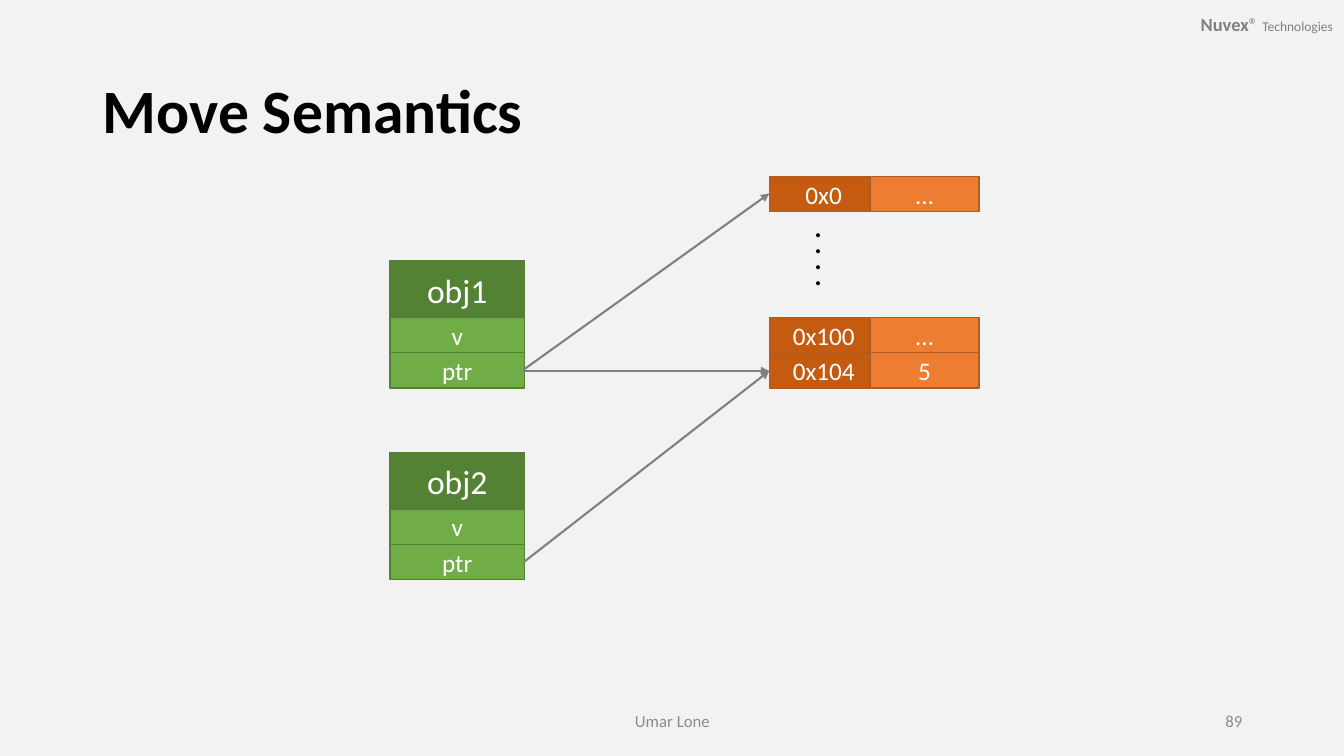
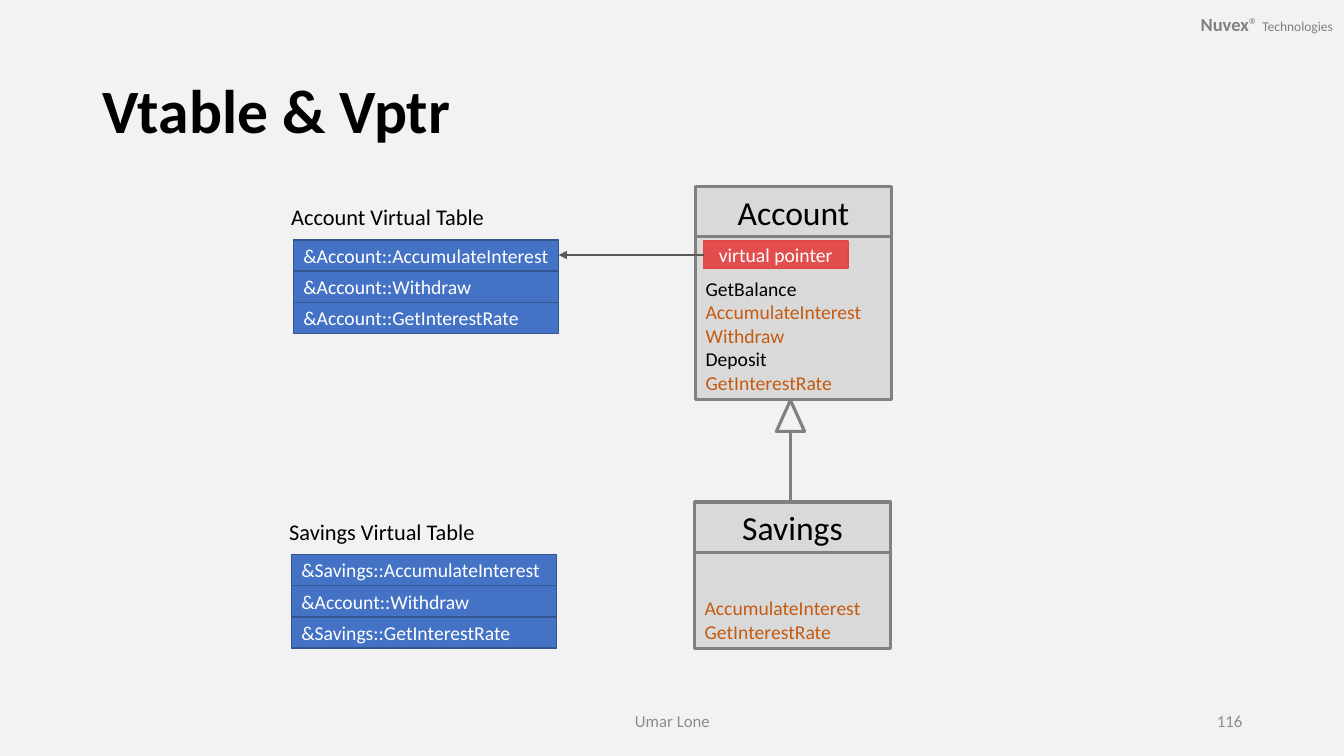
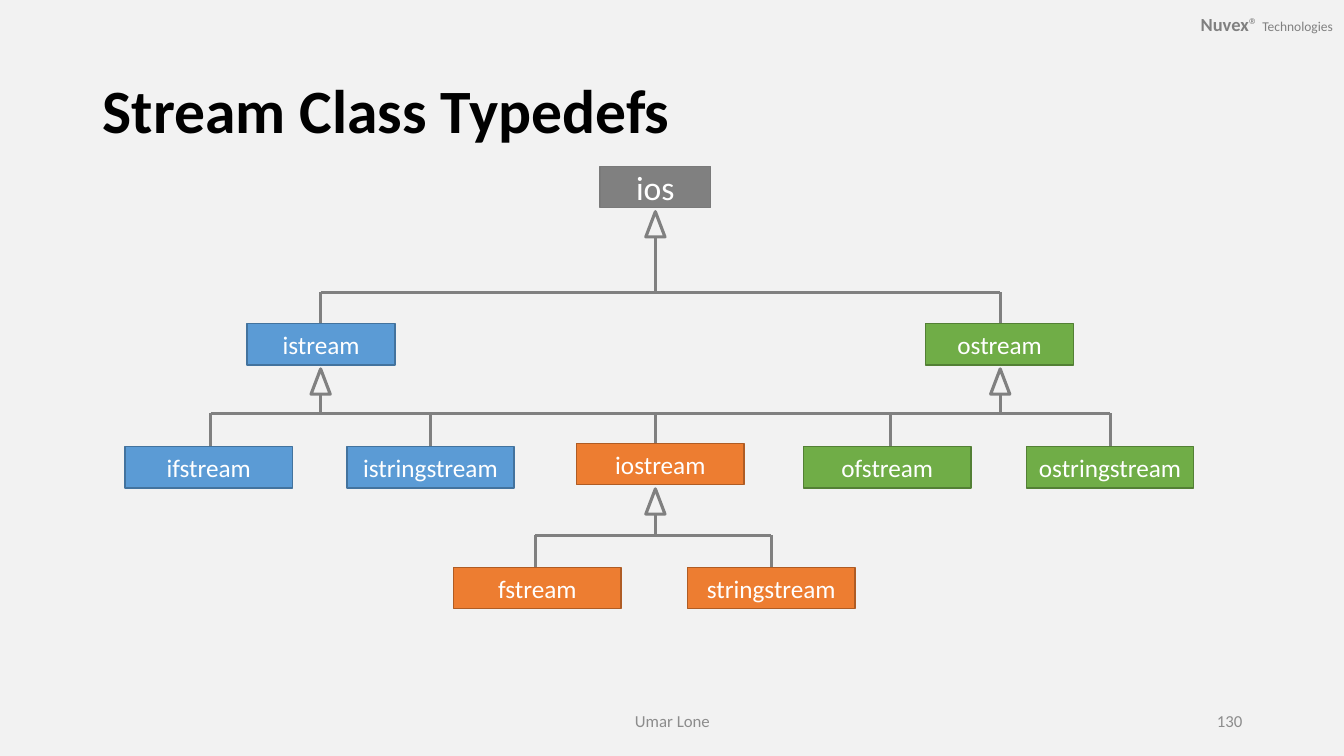
from lxml import etree
from pptx import Presentation
from pptx.dml.color import RGBColor
from pptx.enum import shapes as es, text as et
from pptx.oxml.ns import qn
from pptx.util import Inches, Pt

FONT = "Calibri"
LEFT, MID, RIGHT = et.PP_ALIGN.LEFT, et.PP_ALIGN.CENTER, et.PP_ALIGN.RIGHT
TOP, CORE, FOOT = (et.MSO_ANCHOR.TOP, et.MSO_ANCHOR.MIDDLE,
                   et.MSO_ANCHOR.BOTTOM)
RECT, TRI = es.MSO_SHAPE.RECTANGLE, es.MSO_SHAPE.ISOSCELES_TRIANGLE

COLORS = {
    "back": "F2F2F2", "black": "000000", "white": "FFFFFF",
    "gray": "808080", "iron": "7A7A7A", "dark": "595959",
    "pale": "D9D9D9", "note": "8C8C8C",
    "green": "70AD47", "moss": "548235", "leaf": "538035",
    "orange": "ED7D31", "rust": "C55A11", "clay": "AF5C24",
    "blue": "4472C4", "navy": "325491", "sky": "5B9BD5", "steel": "43739E",
    "red": "E24E4E", "rose": "E14747",
}


def rgb(name):
    return RGBColor.from_string(COLORS[name])


def style(run, size, color, bold=False):
    run.font.name = FONT
    run.font.size = Pt(size)
    run.font.bold = bold
    run.font.color.rgb = rgb(color)


def write(shape, lines, size, color, align=MID, anchor=CORE, bold=False):
    """Fill a shape; each line is a string or a (string, color) pair."""
    frame = shape.text_frame
    frame.word_wrap = True
    frame.vertical_anchor = anchor
    pairs = [(ln, color) if isinstance(ln, str) else ln for ln in lines]
    frame.text = "\n".join(words for words, _ in pairs)
    for para, (_, tint) in zip(frame.paragraphs, pairs):
        para.alignment = align
        style(para.runs[0], size, tint, bold)


def label(slide, box, words, size, color="black", **look):
    area = slide.shapes.add_textbox(*map(Inches, box))
    write(area, [words], size, color, **look)
    return area


def block(slide, box, fill, edge, width=1, kind=RECT):
    shape = slide.shapes.add_shape(kind, *map(Inches, box))
    shape.shadow.inherit = False
    if fill:
        shape.fill.solid()
        shape.fill.fore_color.rgb = rgb(fill)
    else:
        shape.fill.background()
    shape.line.color.rgb = rgb(edge)
    shape.line.width = Pt(width)
    return shape


def cell(slide, box, words, fill, edge, size=18, align=MID):
    write(block(slide, box, fill, edge), [words], size, "white", align)


def line(slide, start, end, color="gray", width=2.25, arrow=False):
    link = slide.shapes.add_connector(
        es.MSO_CONNECTOR.STRAIGHT, *map(Inches, (*start, *end)))
    link.line.color.rgb = rgb(color)
    link.line.width = Pt(width)
    props = link._element.spPr
    if arrow:
        etree.SubElement(props.find(qn("a:ln")), qn("a:tailEnd"),
                         type="triangle")
    etree.SubElement(props, qn("a:effectLst"))


def brand(slide, box):
    area = slide.shapes.add_textbox(*map(Inches, box))
    frame = area.text_frame
    frame.word_wrap = True
    frame.vertical_anchor = CORE
    frame.margin_left = frame.margin_right = Inches(0.12)
    frame.margin_top = frame.margin_bottom = Inches(0.06)
    para = frame.paragraphs[0]
    para.alignment = RIGHT
    for words, size, bold in (("Nuvex", 13.2, True), ("® ", 13.2, False),
                              ("Technologies", 9.6, False)):
        run = para.add_run()
        run.text = words
        style(run, size, "gray", bold)


def start(deck, title, number):
    """Add a slide with the shared background, brand, title and footer."""
    slide = deck.slides.add_slide(deck.slide_layouts[6])
    slide.background.fill.solid()
    slide.background.fill.fore_color.rgb = rgb("back")
    brand(slide, (11.41, 0.01, 1.93, 0.45))
    head = label(slide, (0.92, 0.4, 11.5, 1.45), title, 44,
                 align=LEFT, bold=True)
    head.text_frame.paragraphs[0].line_spacing = 0.9
    label(slide, (4.42, 6.95, 4.5, 0.4), "Umar Lone", 12, "note")
    label(slide, (9.42, 6.95, 3, 0.4), str(number), 12, "note", align=RIGHT)
    return slide


def record(slide, x, y, name):
    """Draw an object with its two fields."""
    cell(slide, (x, y, 1.33, 0.57), name, "moss", "leaf", 24)
    for row, field in enumerate(("v", "ptr")):
        cell(slide, (x, y + 0.56 + row * 0.35, 1.33, 0.35), field,
             "green", "leaf")


def memory(slide, x, y, rows):
    """Draw address and value pairs, one row each."""
    for col, (fill, left) in enumerate((("rust", x), ("orange", x + 1))):
        for row, pair in enumerate(rows):
            cell(slide, (left, y + row * 0.35, 1.08, 0.35), pair[col],
                 fill, "clay")


def vtable(slide, x, y, owner, rows):
    label(slide, (x - 0.12, y - 0.41, 2.17, 0.37),
          f"{owner} Virtual Table", 16, align=LEFT, anchor=TOP)
    for row, words in enumerate(rows):
        cell(slide, (x, y + row * 0.31, 2.63, 0.31), words,
             "blue", "navy", 14, LEFT)


def klass(slide, x, y, name, height, members):
    """Draw a class box: a name above its members."""
    head = block(slide, (x, y, 1.94, 0.5), "pale", "gray", 2.25)
    write(head, [name], 24, "black")
    body = block(slide, (x, y + 0.5, 1.94, height), "pale", "gray", 2.25)
    write(body, members, 14, "rust", LEFT, FOOT)


def inherit(slide, x, y, end, width=0.19, height=0.25):
    """Draw a hollow arrow with its tip at x, y and its stem down to end."""
    block(slide, (x - width / 2, y, width, height), None, "gray", 2.25, TRI)
    line(slide, (x, end), (x, y + height))


def fork(slide, tips, kids, top, bus, foot):
    """Join the kids to the parents above them by a level bus."""
    for x in tips:
        inherit(slide, x, top, bus)
    line(slide, (kids[0], bus), (kids[-1], bus))
    for x in kids:
        line(slide, (x, bus), (x, foot))


def move(deck):
    slide = start(deck, "Move Semantics", 89)
    record(slide, 3.87, 2.59, "obj1")
    record(slide, 3.87, 4.49, "obj2")
    memory(slide, 7.63, 1.75, [("0x0", "…")])
    memory(slide, 7.63, 3.15, [("0x100", "…"), ("0x104", "5")])
    dots = label(slide, (7.79, 2.33, 0.88, 0.5), ". . . .", 24, anchor=TOP)
    dots.rotation = 90
    for tail, tip in ((3.68, 3.68), (5.58, 3.68), (3.67, 1.92)):
        line(slide, (5.19, tail), (7.63, tip), width=1.5, arrow=True)


def virtual(deck):
    slide = start(deck, "Vtable & Vptr", 116)
    klass(slide, 6.9, 1.85, "Account", 1.61, [
        ("GetBalance", "black"), "AccumulateInterest Withdraw",
        ("Deposit", "black"), "GetInterestRate"])
    klass(slide, 6.89, 4.98, "Savings", 0.95,
          ["AccumulateInterest", "GetInterestRate"])
    vtable(slide, 2.91, 2.38, "Account", [
        "&Account::AccumulateInterest", "&Account::Withdraw",
        "&Account::GetInterestRate"])
    vtable(slide, 2.89, 5.5, "Savings", [
        "&Savings::AccumulateInterest", "&Account::Withdraw",
        "&Savings::GetInterestRate"])
    inherit(slide, 7.84, 3.97, 4.98, 0.28, 0.31)
    cell(slide, (6.98, 2.39, 1.43, 0.27), "virtual pointer",
         "red", "rose", 14)
    line(slide, (6.98, 2.53), (5.54, 2.53), "dark", 1.5, True)


def streams(deck):
    slide = start(deck, "Stream Class Typedefs", 130)
    pair = (3.18, 9.92)
    fork(slide, [6.5], pair, 2.1, 2.9, 3.21)
    fork(slide, pair, (2.09, 4.27, 6.5, 8.83, 11.01), 3.66, 4.1, 4.43)
    fork(slide, [6.5], (5.31, 7.65), 4.85, 5.31, 5.63)
    cell(slide, (5.95, 1.65, 1.1, 0.41), "ios", "gray", "iron", 24)
    edges = {"sky": "steel", "green": "leaf", "orange": "clay"}
    for x, y, width, name, fill in (
            (2.45, 3.21, 1.47, "istream", "sky"),
            (9.18, 3.21, 1.47, "ostream", "green"),
            (1.24, 4.43, 1.66, "ifstream", "sky"),
            (3.44, 4.43, 1.66, "istringstream", "sky"),
            (5.72, 4.4, 1.66, "iostream", "orange"),
            (7.97, 4.43, 1.66, "ofstream", "green"),
            (10.18, 4.43, 1.66, "ostringstream", "green"),
            (4.5, 5.63, 1.66, "fstream", "orange"),
            (6.82, 5.63, 1.66, "stringstream", "orange")):
        cell(slide, (x, y, width, 0.41), name, fill, edges[fill])


def main():
    deck = Presentation()
    deck.slide_width, deck.slide_height = Inches(13.33), Inches(7.5)
    for build in (move, virtual, streams):
        build(deck)
    deck.save("out.pptx")


if __name__ == "__main__":
    main()
